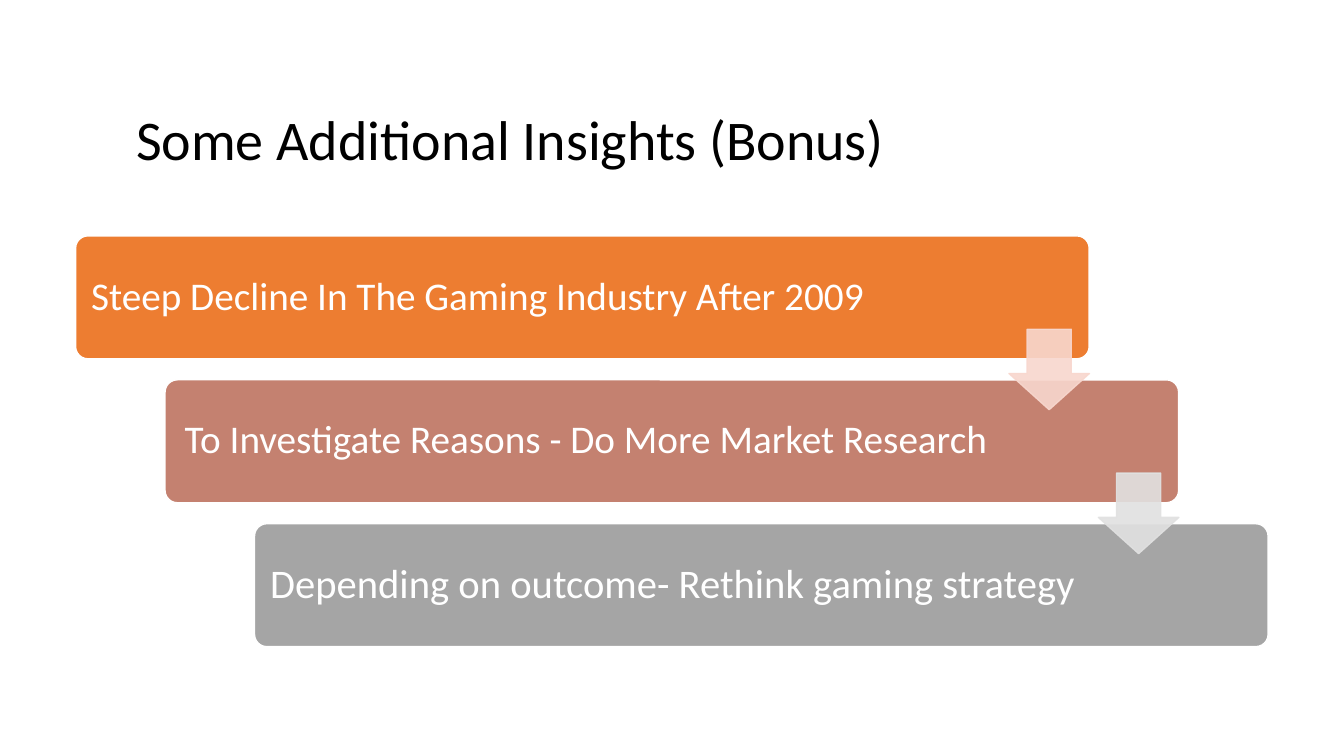
"""Build a slide with three staggered steps joined by block arrows."""
from dataclasses import dataclass

from lxml.etree import SubElement
from pptx import Presentation
from pptx.dml.color import RGBColor
from pptx.enum.shapes import MSO_SHAPE
from pptx.enum.text import MSO_ANCHOR, PP_ALIGN
from pptx.oxml.ns import qn
from pptx.util import Pt


@dataclass(frozen=True)
class Theme:
    font: str = "Calibri"
    ink: str = "000000"
    paper: str = "FFFFFF"
    orange: str = "ED7D31"
    clay: str = "C48170"
    grey: str = "A5A5A5"
    pale_clay: str = "F8D7CE"
    pale_grey: str = "E1E1E1"
    title_size: float = 40
    step_size: float = 28
    last_step_size: float = 29


class Page:
    def __init__(self, deck, theme):
        self.theme = theme
        self.slide = deck.slides.add_slide(deck.slide_layouts[5])

    def set_text(self, frame, text, size, color):
        frame.word_wrap = True
        frame.vertical_anchor = MSO_ANCHOR.MIDDLE
        para = frame.paragraphs[0]
        para.text = text
        para.alignment = PP_ALIGN.LEFT
        para.line_spacing = 0.9
        para.font.name = self.theme.font
        para.font.size = Pt(size)
        para.font.color.rgb = RGBColor.from_string(color)

    def title(self, text, left, top, width, height):
        box = self.slide.shapes.title
        box.left, box.top, box.width, box.height = map(Pt, (left, top, width, height))
        self.set_text(box.text_frame, text, self.theme.title_size, self.theme.ink)

    def shape(self, kind, left, top, width, height, fill, line, adjustments):
        box = self.slide.shapes.add_shape(kind, *map(Pt, (left, top, width, height)))
        box.shadow.inherit = False
        box.fill.solid()
        box.fill.fore_color.rgb = RGBColor.from_string(fill)
        box.line.color.rgb = RGBColor.from_string(line)
        box.line.width = Pt(1)
        for index, value in enumerate(adjustments):
            box.adjustments[index] = value
        return box

    def step(self, text, left, top, width, height, fill, size, inset):
        box = self.shape(MSO_SHAPE.ROUNDED_RECTANGLE, left, top, width, height,
                         fill, self.theme.paper, [0.1])
        box.text_frame.margin_left = Pt(inset)
        self.set_text(box.text_frame, text, size, self.theme.paper)

    def arrow(self, left, top, side, color):
        box = self.shape(MSO_SHAPE.DOWN_ARROW, left, top, side, side,
                         color, color, [0.55, 0.45])
        for tint in box.element.spPr.iter(qn("a:srgbClr")):
            SubElement(tint, qn("a:alpha"), val="90000")


def main():
    theme = Theme()
    deck = Presentation()
    deck.slide_width, deck.slide_height = Pt(960), Pt(540)
    page = Page(deck, theme)
    page.title("Some Additional Insights (Bonus)", 90, 75, 780, 54)

    steps = [
        ("Steep Decline In The Gaming Industry After 2009",
         theme.orange, theme.step_size, 8.6),
        ("To Investigate Reasons - Do More Market Research",
         theme.clay, theme.step_size, 11.4),
        ("Depending on outcome- Rethink gaming strategy",
         theme.grey, theme.last_step_size, 8.6),
    ]
    shift, drop = 63.9, 102.8
    for index, (text, fill, size, inset) in enumerate(steps):
        page.step(text, 54 + index * shift, 168.5 + index * drop, 724, 87.8,
                  fill, size, inset)
    for index, color in enumerate([theme.pale_clay, theme.pale_grey]):
        page.arrow(720.7 + index * shift, 235.2 + index * drop, 57.5, color)

    deck.save("out.pptx")


if __name__ == "__main__":
    main()
